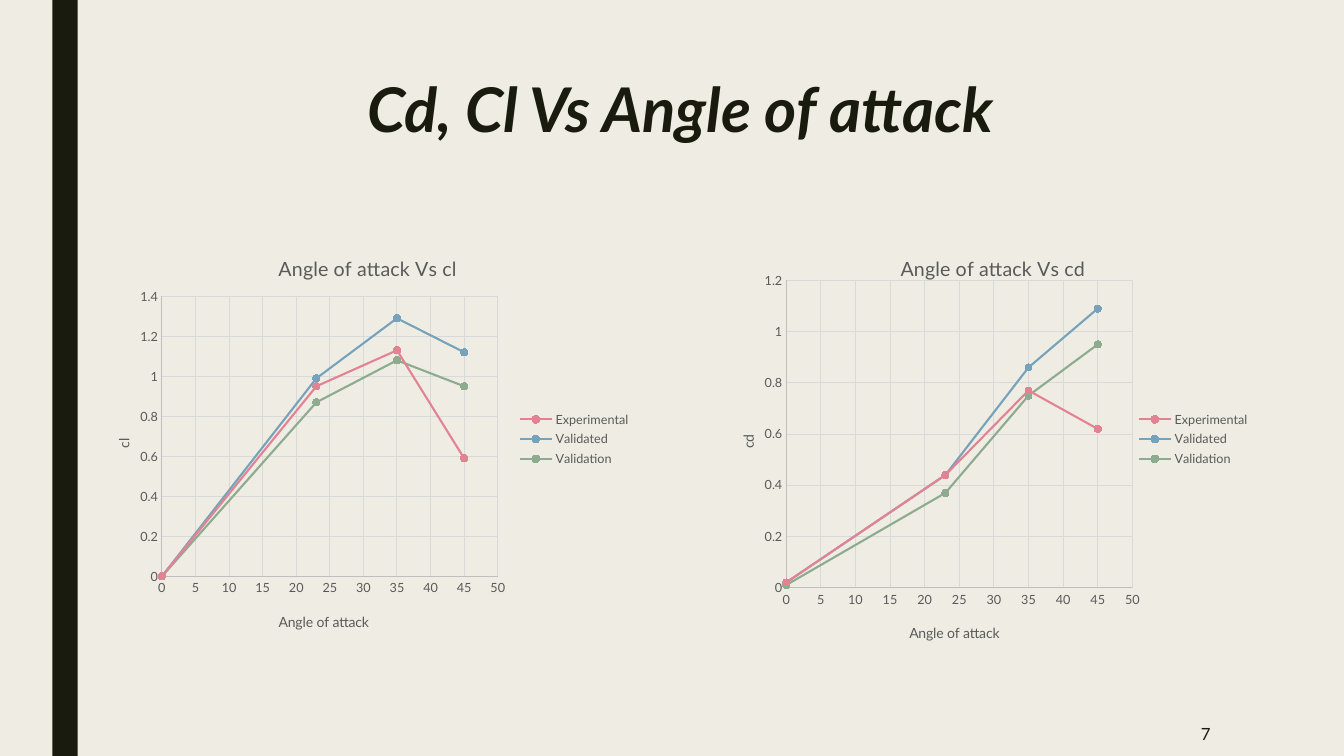
import pptx
import pptx.chart.data
import pptx.dml.color
import pptx.enum.chart
import pptx.enum.shapes
import pptx.enum.text
import pptx.oxml
import pptx.oxml.ns
import pptx.util
from pptx.util import Cm

FONT = "Lato"
COLORS = {
    "background": "EFEDE3",
    "dark": "191B0E",
    "label": "595959",
    "axis": "BFBFBF",
    "grid": "D9D9D9",
    "Experimental": "E28394",
    "Validated": "77A2BB",
    "Validation": "8DAB8E",
}
ANGLES = [0, 23, 35, 45]
LIFT = {
    "name": "cl",
    "maximum": 1.4,
    "series": {
        "Experimental": [0, 0.95, 1.13, 0.59],
        "Validated": [0, 0.99, 1.29, 1.12],
        "Validation": [0, 0.87, 1.08, 0.95],
    },
    "plot": {"x": 0.136, "y": 0.157, "w": 0.606, "h": 0.673},
    "title": {"x": 0.34, "y": 0.048},
    "angle": {"x": 0.342, "y": 0.909},
    "coefficient": {"x": 0.045, "y": 0.493},
}
DRAG = {
    "name": "cd",
    "maximum": 1.2,
    "series": {
        "Experimental": [0.02, 0.44, 0.77, 0.62],
        "Validated": [0.02, 0.44, 0.86, 1.09],
        "Validation": [0.01, 0.37, 0.75, 0.95],
    },
    "plot": {"x": 0.123, "y": 0.119, "w": 0.641, "h": 0.738},
    "title": {"x": 0.328, "y": 0.048},
    "angle": {"x": 0.346, "y": 0.935},
    "coefficient": {"x": 0.03, "y": 0.483},
}


def color(name):
    return pptx.dml.color.RGBColor.from_string(COLORS[name])


def style_font(font, size, color_name, bold=False, italic=False):
    font.name = FONT
    font.size = pptx.util.Pt(size)
    font.bold = bold
    font.italic = italic
    font.color.rgb = color(color_name)


def style_line(line, color_name, width):
    line.color.rgb = color(color_name)
    line.width = pptx.util.Pt(width)


def set_layout(element, position, position_index):
    for old_layout in element.findall(pptx.oxml.ns.qn("c:layout")):
        element.remove(old_layout)
    target = '<c:layoutTarget val="inner"/>' if "w" in position else ""
    modes = "".join(f'<c:{key}Mode val="edge"/>' for key in "xy")
    values = "".join(f'<c:{key} val="{value}"/>' for key, value in position.items())
    element.insert(position_index, pptx.oxml.parse_xml(
        f'<c:layout {pptx.oxml.ns.nsdecls("c")}><c:manualLayout>'
        f"{target}{modes}{values}</c:manualLayout></c:layout>"))


def set_title(title, text, size, position):
    title.text_frame.text = text
    style_font(title.text_frame.paragraphs[0].runs[0].font, size, "label")
    set_layout(title._element, position, 1)


def style_axis(axis, maximum, step):
    axis.minimum_scale = 0
    axis.maximum_scale = maximum
    axis.major_unit = step
    axis.has_major_gridlines = True
    axis.major_tick_mark = pptx.enum.chart.XL_TICK_MARK.NONE
    axis.minor_tick_mark = pptx.enum.chart.XL_TICK_MARK.NONE
    axis.tick_labels.number_format = "General"
    axis.tick_labels.number_format_is_linked = False
    style_font(axis.tick_labels.font, 9, "label")
    style_line(axis.format.line, "axis", 0.75)
    style_line(axis.major_gridlines.format.line, "grid", 0.75)


def style_series(series):
    style_line(series.format.line, series.name, 1.5)
    series.smooth = True
    series.marker.style = pptx.enum.chart.XL_MARKER_STYLE.CIRCLE
    series.marker.size = 5
    series.marker.format.fill.solid()
    series.marker.format.fill.fore_color.rgb = color(series.name)
    style_line(series.marker.format.line, series.name, 0.75)


def add_coefficient_chart(slide, box, coefficient):
    data = pptx.chart.data.XyChartData()
    for name, values in coefficient["series"].items():
        series_data = data.add_series(name)
        for angle, value in zip(ANGLES, values):
            series_data.add_data_point(angle, value)
    chart = slide.shapes.add_chart(
        pptx.enum.chart.XL_CHART_TYPE.XY_SCATTER_SMOOTH, *box, data).chart
    chart.font.name = FONT
    chart.font.size = pptx.util.Pt(10)
    chart.has_title = True
    set_title(chart.chart_title, f"Angle of attack Vs {coefficient['name']}", 14,
              coefficient["title"])
    style_axis(chart.category_axis, 50, 5)
    style_axis(chart.value_axis, coefficient["maximum"], 0.2)
    set_title(chart.category_axis.axis_title, "Angle of attack", 10, coefficient["angle"])
    coefficient_title = chart.value_axis.axis_title
    set_title(coefficient_title, coefficient["name"], 10, coefficient["coefficient"])
    body = coefficient_title.text_frame._txBody.bodyPr
    body.set("rot", "-5400000")
    body.set("vert", "horz")
    chart.has_legend = True
    chart.legend.position = pptx.enum.chart.XL_LEGEND_POSITION.RIGHT
    chart.legend.include_in_layout = False
    style_font(chart.legend.font, 9, "label")
    chart.plots[0].vary_by_categories = False
    for series in chart.plots[0].series:
        style_series(series)
    plot_area = chart._chartSpace.find(".//" + pptx.oxml.ns.qn("c:plotArea"))
    set_layout(plot_area, coefficient["plot"], 0)


def add_side_bar(slide, box):
    bar = slide.shapes.add_shape(pptx.enum.shapes.MSO_SHAPE.RECTANGLE, *box)
    bar.shadow.inherit = False
    bar.fill.solid()
    bar.fill.fore_color.rgb = color("dark")
    bar.line.fill.background()


def add_text(slide, box, text, size, alignment, anchor, emphasis=False):
    text_frame = slide.shapes.add_textbox(*box).text_frame
    text_frame.word_wrap = True
    text_frame.vertical_anchor = anchor
    text_frame.text = text
    paragraph = text_frame.paragraphs[0]
    paragraph.alignment = alignment
    style_font(paragraph.runs[0].font, size, "dark", emphasis, emphasis)
    return paragraph


def main():
    presentation = pptx.Presentation()
    presentation.slide_width = Cm(33.87)
    presentation.slide_height = Cm(19.05)
    slide = presentation.slides.add_slide(presentation.slide_layouts[6])
    slide.background.fill.solid()
    slide.background.fill.fore_color.rgb = color("background")

    alignments = pptx.enum.text.PP_ALIGN
    anchors = pptx.enum.text.MSO_ANCHOR
    add_side_bar(slide, (Cm(1.32), Cm(0), Cm(0.64), presentation.slide_height))
    title = add_text(slide, (Cm(3.81), Cm(1.9), Cm(26.67), Cm(2.41)),
                     "Cd, Cl Vs Angle of attack", 44, alignments.CENTER, anchors.TOP, True)
    title.line_spacing = 0.89
    add_text(slide, (Cm(26.31), Cm(17.93), Cm(4.45), Cm(1.12)),
             "7", 12, alignments.RIGHT, anchors.MIDDLE)
    chart_top, chart_height = Cm(5.82), Cm(10.49)
    add_coefficient_chart(slide, (Cm(2.18), chart_top, Cm(13.97), chart_height), LIFT)
    add_coefficient_chart(slide, (Cm(18.14), chart_top, Cm(13.61), chart_height), DRAG)
    presentation.save("out.pptx")


if __name__ == "__main__":
    main()
